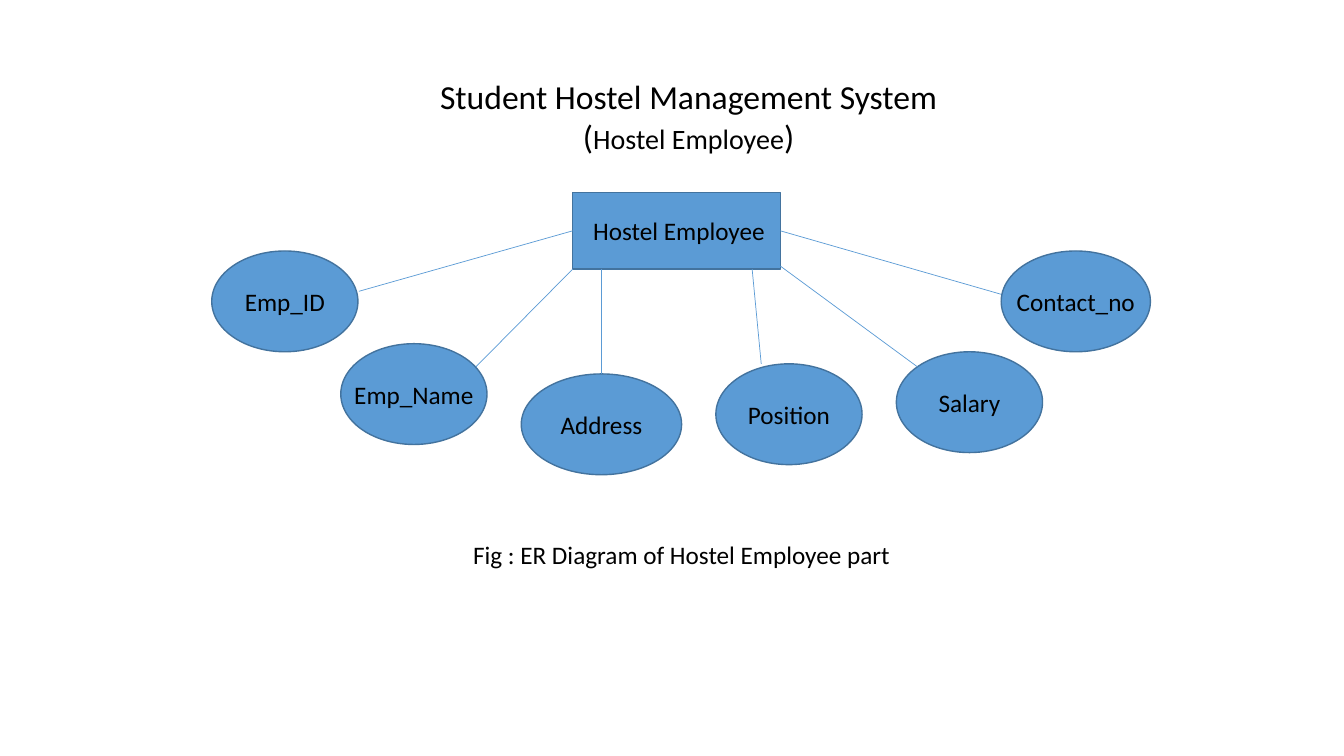
from dataclasses import dataclass
from typing import Optional

from pptx import Presentation
from pptx.dml.color import RGBColor
from pptx.enum.shapes import MSO_CONNECTOR, MSO_SHAPE
from pptx.enum.text import MSO_ANCHOR, MSO_AUTO_SIZE, PP_ALIGN
from pptx.oxml.ns import qn
from pptx.util import Inches, Pt

STRAIGHT = MSO_CONNECTOR.STRAIGHT
RECTANGLE, OVAL = MSO_SHAPE.RECTANGLE, MSO_SHAPE.OVAL
TOP, MIDDLE = MSO_ANCHOR.TOP, MSO_ANCHOR.MIDDLE
NO_AUTOFIT = MSO_AUTO_SIZE.NONE
CENTER = PP_ALIGN.CENTER
TITLE_ONLY = 5
SIDE_TOP, SIDE_LEFT, SIDE_RIGHT = 0, 1, 3

BLACK = RGBColor(0x00, 0x00, 0x00)
BLUE = RGBColor(0x5B, 0x9B, 0xD5)
DARK_BLUE = RGBColor(0x43, 0x73, 0x9E)
FONT = "Calibri"

SLIDE_WIDTH, SLIDE_HEIGHT = Inches(13.33), Inches(7.5)
COLUMNS, ROWS = 133.3, 75

Point = tuple[float, float]


@dataclass(frozen=True)
class Box:
    """A rectangle in grid columns and rows."""
    column: float
    row: float
    columns: float
    rows: float


@dataclass(frozen=True)
class Attribute:
    """An oval of the diagram and the line that ties it to the entity."""
    name: str
    box: Box
    line_start: Point
    line_end: Point
    entity_side: Optional[int] = None
    oval_side: Optional[int] = None


ENTITY = Box(56.8, 19.1, 20.6, 7.6)
TITLE = Box(27.8, 7, 81, 12.1)
CAPTION = Box(42.2, 53, 50.8, 4)
TITLE_LINES = (
    (("Student Hostel Management System", 24),),
    (("(", 24), ("Hostel Employee", 20), (")", 24)),
)
ATTRIBUTES = (
    Attribute("Emp_ID", Box(21, 24.9, 14.5, 10), (56.8, 22.9), (35.6, 28.9), SIDE_LEFT),
    Attribute("Emp_Name", Box(33.8, 34.1, 14.5, 10), (56.8, 26.7), (47.2, 36.4)),
    Attribute("Address", Box(51.7, 37.1, 15.9, 10), (59.65, 26.7), (59.65, 37.1),
              oval_side=SIDE_TOP),
    Attribute("Position", Box(71, 36.1, 14.5, 10), (74.6, 26.7), (75.5, 36.1)),
    Attribute("Salary", Box(88.9, 34.9, 14.5, 10), (77.4, 26.4), (91, 36.4)),
    Attribute("Contact_no", Box(99.3, 24.9, 14.8, 10), (77.4, 22.9), (99.3, 29.2), SIDE_RIGHT),
)


def across(columns: float) -> int:
    return round(SLIDE_WIDTH * columns / COLUMNS)


def down(rows: float) -> int:
    return round(SLIDE_HEIGHT * rows / ROWS)


def place(box: Box) -> tuple[int, int, int, int]:
    return across(box.column), down(box.row), across(box.columns), down(box.rows)


def set_attributes(target, values: dict) -> None:
    for name, value in values.items():
        setattr(target, name, value)


def add_run(paragraph, text: str, size: float) -> None:
    paragraph.alignment = CENTER
    run = paragraph.add_run()
    run.text = text
    set_attributes(run.font, {"name": FONT, "size": Pt(size)})
    run.font.color.rgb = BLACK


def add_node(slide, kind, box: Box, text: str, left_inset: float = 0):
    """Add a filled shape whose label is centred on it without wrapping."""
    shape = slide.shapes.add_shape(kind, *place(box))
    shape.shadow.inherit = False
    shape.fill.solid()
    shape.fill.fore_color.rgb = BLUE
    shape.line.color.rgb = DARK_BLUE
    shape.line.width = Pt(1)
    set_attributes(shape.text_frame, {
        "word_wrap": False, "vertical_anchor": MIDDLE,
        "margin_left": across(left_inset), "margin_right": 0,
        "margin_top": 0, "margin_bottom": 0,
    })
    add_run(shape.text_frame.paragraphs[0], text, 18)
    return shape


def add_link(slide, attribute: Attribute, entity, oval) -> None:
    start, end = attribute.line_start, attribute.line_end
    connector = slide.shapes.add_connector(
        STRAIGHT, across(start[0]), down(start[1]), across(end[0]), down(end[1]))
    if attribute.entity_side is not None:
        connector.begin_connect(entity, attribute.entity_side)
    if attribute.oval_side is not None:
        connector.end_connect(oval, attribute.oval_side)
    connector.line.color.rgb = BLUE
    connector.line.width = Pt(0.5)
    properties = connector.element.spPr
    properties.append(properties.makeelement(qn("a:effectLst"), {}))


def fill_title(title) -> None:
    set_attributes(title, dict(zip(("left", "top", "width", "height"), place(TITLE))))
    frame = title.text_frame
    set_attributes(frame, {"word_wrap": True, "vertical_anchor": TOP, "auto_size": NO_AUTOFIT})
    for index, line in enumerate(TITLE_LINES):
        paragraph = frame.add_paragraph() if index else frame.paragraphs[0]
        for text, size in line:
            add_run(paragraph, text, size)


def add_caption(slide) -> None:
    frame = slide.shapes.add_textbox(*place(CAPTION)).text_frame
    frame.word_wrap = True
    add_run(frame.paragraphs[0], "Fig : ER Diagram of Hostel Employee part", 18)


def main() -> None:
    presentation = Presentation()
    set_attributes(presentation, {"slide_width": SLIDE_WIDTH, "slide_height": SLIDE_HEIGHT})
    slide = presentation.slides.add_slide(presentation.slide_layouts[TITLE_ONLY])
    fill_title(slide.shapes.title)
    entity = add_node(slide, RECTANGLE, ENTITY, "Hostel Employee", left_inset=0.5)
    ovals = [add_node(slide, OVAL, attribute.box, attribute.name) for attribute in ATTRIBUTES]
    add_caption(slide)
    for attribute, oval in zip(ATTRIBUTES, ovals):
        add_link(slide, attribute, entity, oval)
    presentation.save("out.pptx")


if __name__ == "__main__":
    main()
